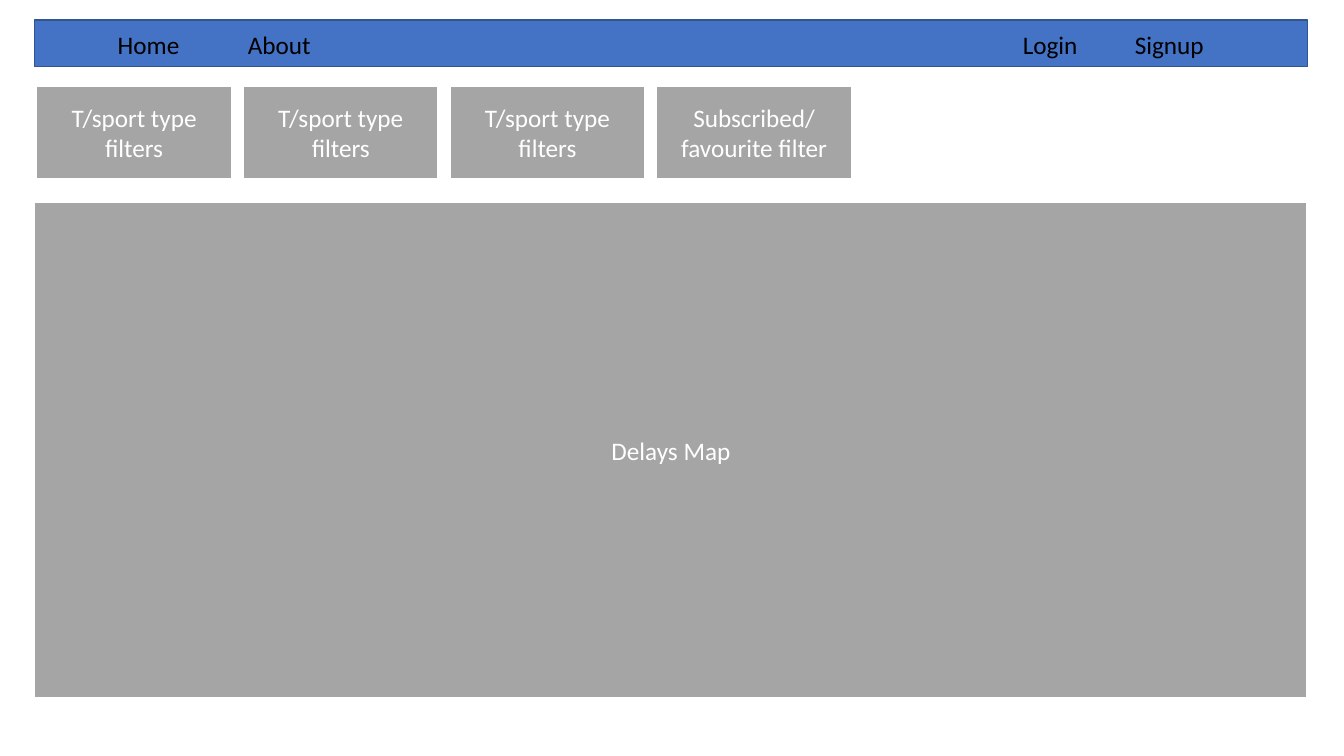
import lxml.etree
import pptx
import pptx.dml.color
import pptx.enum.shapes
import pptx.enum.text
import pptx.oxml.ns
import pptx.util

Pt = pptx.util.Pt
COLORS = {"panel": "A5A5A5", "bar": "4472C4", "bar_edge": "325491",
          "light": "FFFFFF", "dark": "000000"}


def color(name):
    return pptx.dml.color.RGBColor.from_string(COLORS[name])


def write_text(shape, text, color_name):
    frame = shape.text_frame
    frame.word_wrap = True
    frame.text = text
    para = frame.paragraphs[0]
    for span in para.runs:
        span.font.name = "Calibri"
        span.font.size = Pt(18)
        span.font.color.rgb = color(color_name)
    return para


def add_rectangle(page, box, fill, edge, edge_width):
    shape = page.shapes.add_shape(
        pptx.enum.shapes.MSO_SHAPE.RECTANGLE, *map(Pt, box))
    shape.shadow.inherit = False
    shape.fill.solid()
    shape.fill.fore_color.rgb = color(fill)
    shape.line.color.rgb = color(edge)
    shape.line.width = Pt(edge_width)
    return shape


def add_panel(page, box, label):
    shape = add_rectangle(page, box, "panel", "light", 1.5)
    shape.text_frame.vertical_anchor = pptx.enum.text.MSO_ANCHOR.MIDDLE
    para = write_text(shape, label, "light")
    para.alignment = pptx.enum.text.PP_ALIGN.CENTER


def add_navigation(page, box, labels, tab_stops):
    left, top, width, height = box
    add_rectangle(page, box, "bar", "bar_edge", 1)
    menu = page.shapes.add_textbox(
        Pt(left + 52.5), Pt(top + 2.9), Pt(width - 77.5), Pt(29))
    para = write_text(menu, "\t".join(labels), "dark")
    qn = pptx.oxml.ns.qn
    tab_list = lxml.etree.SubElement(
        para._p.get_or_add_pPr(), qn("a:tabLst"))
    for stop in tab_stops:
        lxml.etree.SubElement(
            tab_list, qn("a:tab"), pos=str(Pt(stop)), algn="l")


def add_filters(page, box, labels, gap):
    left, top, width, height = box
    panel_width = (width - gap * (len(labels) - 1)) / len(labels)
    for index, label in enumerate(labels):
        panel_left = left + index * (panel_width + gap)
        add_panel(page, (panel_left, top, panel_width, height), label)


deck = pptx.Presentation()
deck.slide_width, deck.slide_height = Pt(960), Pt(540)
page = deck.slides.add_slide(deck.slide_layouts[6])

add_panel(page, (24.5, 144, 909.5, 355), "Delays Map")
add_navigation(page, (24.5, 14.4, 909.5, 33.1),
               ["Home", "About", "Login", "Signup"], [93, 646.5, 726.5])
add_filters(page, (26, 61.2, 582.5, 67),
            ["T/sport type filters"] * 3 + ["Subscribed/favourite filter"], 8)

deck.save("out.pptx")
